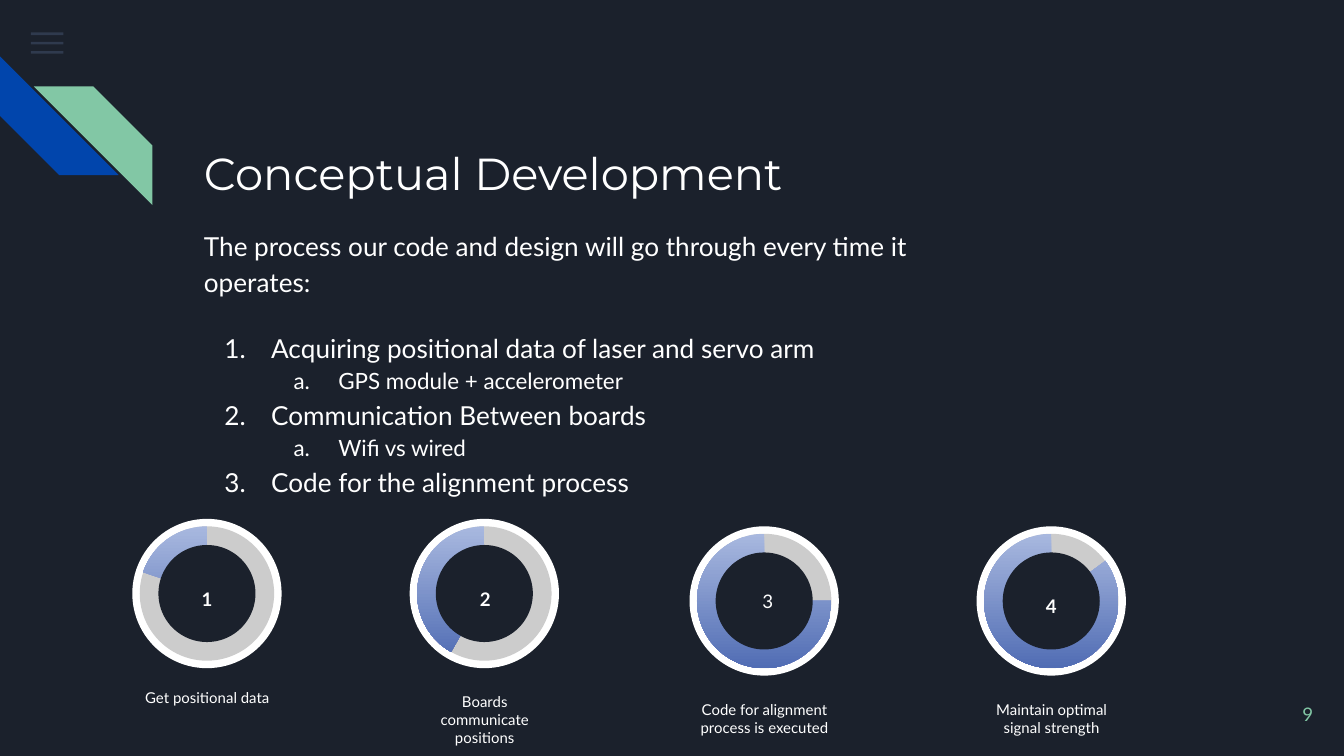
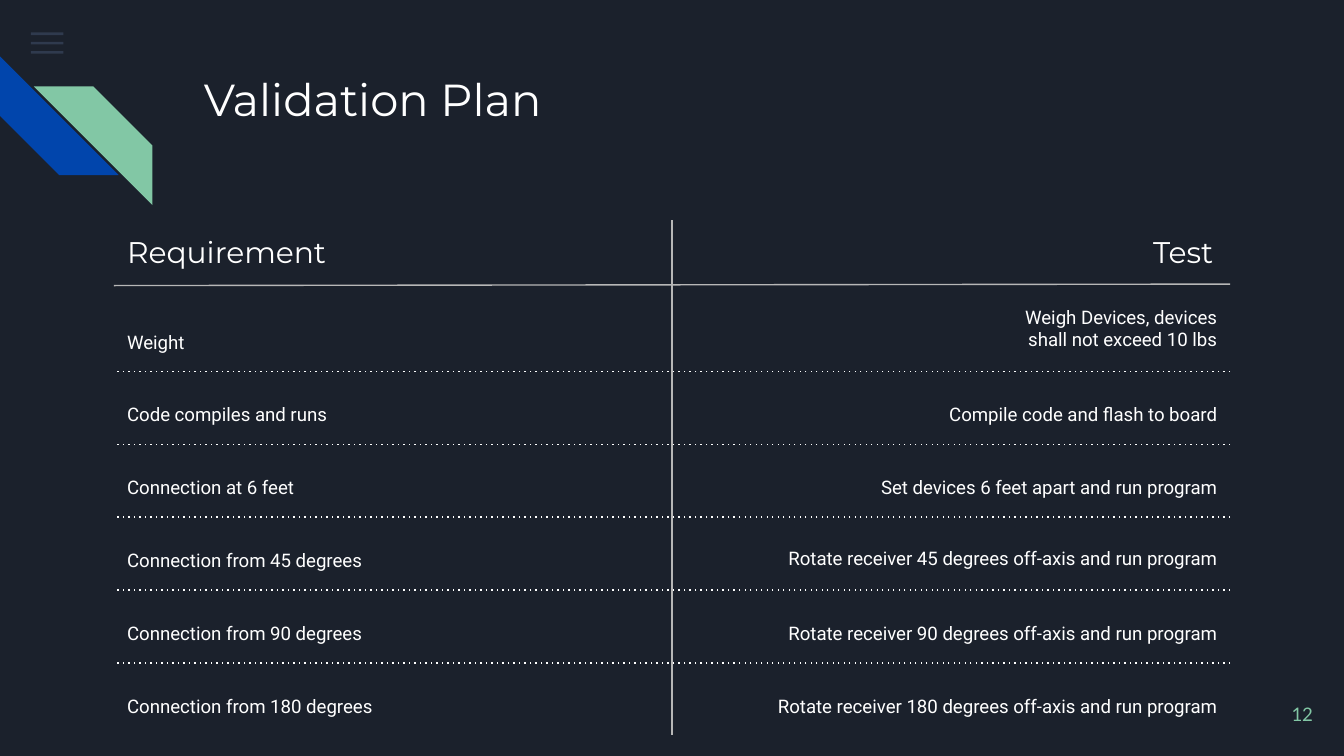
from dataclasses import dataclass

from lxml import etree
from pptx import Presentation
from pptx import util as u
from pptx.dml.color import RGBColor
from pptx.enum import shapes, text
from pptx.oxml import ns

CONCEPT = {
    "title": "Conceptual Development",
    "intro": "The process our code and design will go through every time it operates:",
    "steps": [
        (0, "Acquiring positional data of laser and servo arm"),
        (1, "GPS module + accelerometer"),
        (0, "Communication Between boards"),
        (1, "Wifi vs wired"),
        (0, "Code for the alignment process"),
    ],
    "dials": [
        ("1", "Get positional data", (110.9, 318), 198.54, True, (0, 0)),
        ("2", "Boards communicate positions", (259.5, 318), 119.7, True, (0.5, 0)),
        ("3", "Code for alignment process is executed", (409.4, 322), 0, False, (2, -2.5)),
        ("4", "Maintain optimal signal strength", (563.2, 322), 323.51, True, (0, 0)),
    ],
    "page": "9",
}

VALIDATION = {
    "title": "Validation Plan",
    "heads": ("Requirement", "Test"),
    "checks": [
        ("Weight", "Weigh Devices, devices shall not exceed 10 lbs", 122, 0),
        ("Code compiles and runs", "Compile code and flash to board", 168, 0),
        ("Connection at 6 feet", "Set devices 6 feet apart and run program", 231, 0),
        ("Connection from 45 degrees",
         "Rotate receiver 45 degrees off-axis and run program", 252, -1.2),
        ("Connection from 90 degrees",
         "Rotate receiver 90 degrees off-axis and run program", 252, 0),
        ("Connection from 180 degrees",
         "Rotate receiver 180 degrees off-axis and run program", 252, 0),
    ],
    "page": "12",
}


@dataclass(frozen=True)
class Theme:
    night: str = "1B212C"
    white: str = "FFFFFF"
    blue: str = "0145AC"
    green: str = "82C7A5"
    menu: str = "55688B"
    track: str = "CCCCCC"
    rule: str = "B7B7B7"
    arc: tuple = ("A8B8DF", "516DB4")
    heading: str = "Montserrat"
    body: str = "Lato"
    table: str = "Roboto"
    title_size: float = 24
    head_size: float = 16
    lead_size: float = 14
    sub_size: float = 12
    small_size: float = 10
    caption_size: float = 8


T = Theme()
LEFT, RIGHT = text.PP_ALIGN.LEFT, text.PP_ALIGN.RIGHT
CENTER = text.PP_ALIGN.CENTER
TOP, MIDDLE, BOTTOM = (text.MSO_ANCHOR.TOP, text.MSO_ANCHOR.MIDDLE,
                       text.MSO_ANCHOR.BOTTOM)
SHAPE = shapes.MSO_SHAPE


def rgb(color):
    return RGBColor.from_string(color)


def pts(*lengths):
    return [u.Pt(length) for length in lengths]


def add_run(paragraph, words, size, font=T.body, color=T.white, bold=False):
    run = paragraph.add_run()
    run.text = words
    run.font.size = u.Pt(size)
    run.font.name = font
    run.font.bold = bold
    run.font.color.rgb = rgb(color)


def add_frame(slide, place, anchor=TOP):
    frame = slide.shapes.add_textbox(*pts(*place)).text_frame
    frame.word_wrap = True
    frame.vertical_anchor = anchor
    frame.margin_left = frame.margin_right = u.Pt(7.2)
    frame.margin_top = frame.margin_bottom = u.Pt(7.2)
    return frame


def add_label(slide, words, place, size, font=T.body, color=T.white,
              align=LEFT, anchor=TOP, bold=False, spacing=1.0):
    paragraph = add_frame(slide, place, anchor).paragraphs[0]
    paragraph.alignment = align
    paragraph.line_spacing = spacing
    add_run(paragraph, words, size, font, color, bold)


def add_solid(slide, preset, place, color=None, rotation=0):
    shape = slide.shapes.add_shape(preset, *pts(*place))
    shape.shadow.inherit = False
    shape.line.fill.background()
    shape.rotation = rotation
    if color:
        shape.fill.solid()
        shape.fill.fore_color.rgb = rgb(color)
    return shape


def add_disc(slide, center, size, color=None, preset=SHAPE.OVAL):
    x, y = center
    return add_solid(slide, preset, (x - size / 2, y - size / 2, size, size), color)


def add_rule(slide, start, end, color, dotted=False):
    rule = slide.shapes.add_connector(shapes.MSO_CONNECTOR.STRAIGHT,
                                      *pts(*start, *end))
    rule.line.width = u.Pt(0.75)
    rule.line.color.rgb = rgb(color)
    props = rule.element.spPr
    if dotted:
        etree.SubElement(props.find(ns.qn("a:ln")), ns.qn("a:prstDash"), val="dot")
    etree.SubElement(props, ns.qn("a:effectLst"))


def add_page(prs, content, title_place, spacing=1.0):
    slide = prs.slides.add_slide(prs.slide_layouts[6])
    for i in range(3):
        bar = add_solid(slide, SHAPE.RECTANGLE, (16.6, 17.4 + 5 * i, 17.4, 1.4), T.menu)
        tint = bar.element.spPr.find(".//" + ns.qn("a:srgbClr"))
        etree.SubElement(tint, ns.qn("a:alpha"), val="36000")
    for place, color, turn in (((0, 30.2), T.blue, 270), ((18.1, 46.3), T.green, 90)):
        add_solid(slide, SHAPE.DIAGONAL_STRIPE, (*place, 63.6, 63.6), color, turn)
    add_label(slide, content["title"], title_place, T.title_size, T.heading,
              spacing=spacing)
    add_label(slide, content["page"], (667.5, 367, 43, 31), T.small_size,
              color=T.green, align=RIGHT, anchor=MIDDLE)
    return slide


def add_steps(slide, intro, steps):
    frame = add_frame(slide, (102.2, 113.6, 441.4, 98.6))
    lead = frame.paragraphs[0]
    lead.line_spacing = 1.15
    add_run(lead, intro, T.lead_size)
    for i, (level, words) in enumerate(steps):
        step = frame.add_paragraph()
        step.level = level
        step.line_spacing = 1.15
        step.space_before = u.Pt(0 if i else 16)
        props = step._p.get_or_add_pPr()
        props.set("marL", str(u.Pt(36 * (level + 1))))
        props.set("indent", str(-u.Pt((25, 24)[level])))
        tint = etree.SubElement(props, ns.qn("a:buClr"))
        etree.SubElement(tint, ns.qn("a:srgbClr"), val=T.white)
        etree.SubElement(props, ns.qn("a:buAutoNum"),
                         type=("arabicPeriod", "alphaLcPeriod")[level])
        add_run(step, words, (T.lead_size, T.sub_size)[level])


def add_dial(slide, number, caption, center, start, bold, nudge):
    x, y = center
    add_disc(slide, center, 80, T.white)
    add_disc(slide, center, 72, T.track)
    arc = add_disc(slide, center, 72, preset=SHAPE.PIE)
    arc.adjustments[0] = start * 0.6
    arc.adjustments[1] = 270 * 0.6
    arc.fill.gradient()
    arc.fill.gradient_angle = 270
    for stop, color in zip(arc.fill.gradient_stops, T.arc):
        stop.color.rgb = rgb(color)
    add_disc(slide, center, 52, T.night)
    add_label(slide, number, (x - 18.4 + nudge[0], y - 12 + nudge[1], 36.8, 21.6),
              T.small_size, align=CENTER, bold=bold, spacing=1.15)
    add_label(slide, caption, (x - 41.6, y + 46, 83.6, 34.6), T.caption_size,
              align=CENTER)


def build_concept(prs):
    slide = add_page(prs, CONCEPT, (102.2, 66.4, 441.4, 46.8), 1.15)
    add_steps(slide, CONCEPT["intro"], CONCEPT["steps"])
    for dial in CONCEPT["dials"]:
        add_dial(slide, *dial)


def build_validation(prs):
    slide = add_page(prs, VALIDATION, (102.2, 31, 554.4, 72))
    left, right, pitch = 61, 659, 39.04
    requirement, test = VALIDATION["heads"]
    add_rule(slide, (right, 152.2), (left, 153), T.rule)
    add_label(slide, requirement, (left, 116.9, 168, 35.3), T.head_size,
              T.heading, anchor=MIDDLE)
    add_label(slide, test, (right - 62, 116.9, 60, 35.3), T.head_size, T.heading,
              align=RIGHT, anchor=MIDDLE)
    for i, (need, check, width, nudge) in enumerate(VALIDATION["checks"]):
        top = 163.4 + i * pitch
        if i:
            add_rule(slide, (right, top - 3.5), (left + 0.5, top - 3.5), T.white, True)
        add_label(slide, need, (left, top, 156, 31.7), T.small_size, T.table,
                  anchor=BOTTOM)
        add_label(slide, check, (right - width, top + nudge, width, 31.7),
                  T.small_size, T.table, align=RIGHT, anchor=BOTTOM)
    add_rule(slide, (360, 393.6), (360, 118), T.rule)


def main():
    prs = Presentation()
    prs.slide_width, prs.slide_height = pts(720, 405)
    backdrop = prs.slide_master.background.fill
    backdrop.solid()
    backdrop.fore_color.rgb = rgb(T.night)
    build_concept(prs)
    build_validation(prs)
    prs.save("out.pptx")


if __name__ == "__main__":
    main()
